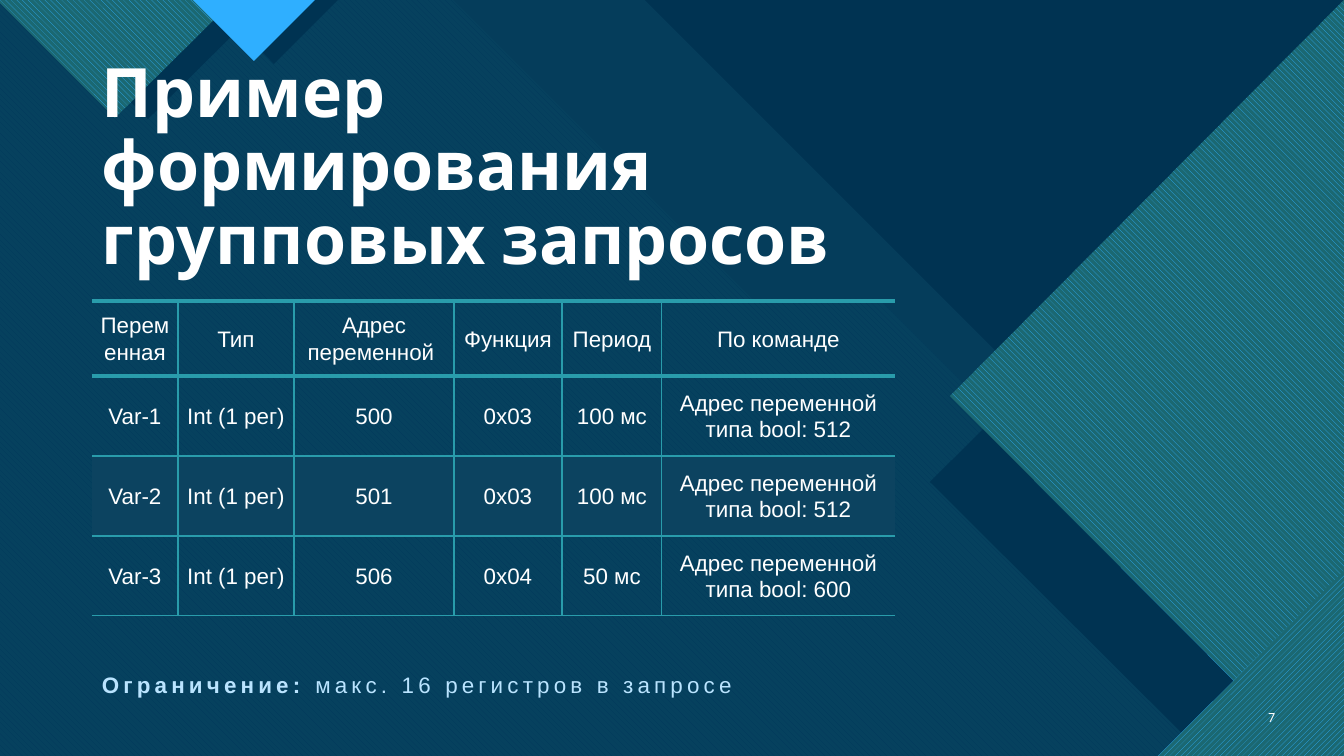
from lxml.etree import SubElement
from pptx import Presentation
from pptx.dml.color import RGBColor
from pptx.enum.dml import MSO_PATTERN as Pattern
from pptx.enum.text import MSO_ANCHOR as Anchor, PP_ALIGN as Align
from pptx.oxml import parse_xml
from pptx.oxml.ns import nsdecls, qn
from pptx.util import Pt

PX = 914400 / 100.8
WIDTH, HEIGHT = 1344, 756
NAVY, TEAL, AQUA = "003352", "299CAB", "47C3D3"
SKY, PINE, STEEL, WHITE = "2FAFFF", "1B6872", "0C4360", "FFFFFF"


def color(value):
    return RGBColor.from_string(value)


def emu(*lengths):
    """Turn px lengths into EMU."""
    return [round(length * PX) for length in lengths]


deck = Presentation()
deck.slide_width, deck.slide_height = emu(WIDTH, HEIGHT)
page = deck.slides.add_slide(deck.slide_layouts[6])
page.background.fill.solid()
page.background.fill.fore_color.rgb = color(WHITE)

# Background, back to front: corners, front colour, pattern, pattern back colour, opacity %
layers = [
    ([(0, 0), (WIDTH, 0), (WIDTH, HEIGHT), (0, HEIGHT)], STEEL, None, None, 100),
    ([(0, 0), (833, 0), (1132, 299), (1245, 299), (WIDTH, 399), (WIDTH, HEIGHT), (0, HEIGHT)],
     AQUA, None, None, 74),
    ([(0, 0), (453, 0), (752, 299), (879, 299), (1336, HEIGHT), (0, HEIGHT)],
     "0065A4", Pattern.WIDE_DOWNWARD_DIAGONAL, AQUA, 100),
    ([(645, 0), (WIDTH, 0), (WIDTH, 699)], NAVY, None, None, 100),
    ([(0, 0), (701, 0), (1000, 299), (1127, 299), (WIDTH, 517), (WIDTH, HEIGHT), (0, HEIGHT)],
     NAVY, None, None, 90),
    ([(WIDTH, 69), (WIDTH, HEIGHT), (1205, HEIGHT), (930, 482)], NAVY, None, None, 100),
    ([(WIDTH, 0), (WIDTH, HEIGHT), (1309, HEIGHT), (950, 396)],
     SKY, Pattern.WIDE_DOWNWARD_DIAGONAL, PINE, 100),
    ([(WIDTH, 619), (WIDTH, HEIGHT), (1207, HEIGHT)], NAVY, None, None, 100),
    ([(WIDTH, 571), (WIDTH, HEIGHT), (1158, HEIGHT)],
     SKY, Pattern.WIDE_UPWARD_DIAGONAL, PINE, 100),
    ([(268, 0), (148, 119), (29, 0)], NAVY, None, None, 100),
    ([(0, 0), (234, 0), (115, 118), (0, 3)],
     SKY, Pattern.WIDE_DOWNWARD_DIAGONAL, PINE, 100),
    ([(338, 0), (274, 64), (211, 0)], NAVY, None, None, 100),
    ([(193, 0), (254, 61), (315, 0)], SKY, None, None, 100),
]
for corners, front, pattern, back, opacity in layers:
    outline = page.shapes.build_freeform(*corners[0], scale=PX)
    outline.add_line_segments(corners[1:], close=True)
    layer = outline.convert_to_shape()
    layer.shadow.inherit = False
    layer.line.fill.background()
    if pattern:
        layer.fill.patterned()
        layer.fill.pattern = pattern
        layer.fill.back_color.rgb = color(back)
    else:
        layer.fill.solid()
    layer.fill.fore_color.rgb = color(front)
    if opacity < 100:
        tint = layer.fill._xPr.find(".//" + qn("a:srgbClr"))
        SubElement(tint, qn("a:alpha"), val=str(opacity * 1000))

# Texts: place, anchor, alignment, line spacing, font, size, colour, letter spacing, runs
texts = [
    ((92, 136, 858, 148), Anchor.BOTTOM, Align.LEFT, 0.9, "Cabin", 48.6, WHITE, 0,
     [("Пример формирования групповых запросов", True)]),
    ((92, 669, 750, 40), Anchor.TOP, Align.LEFT, 0.9, "Arial", 16, "BAE4FF", 3,
     [("Ограничение:", True), (" макс. 16 регистров в запросе", False)]),
    ((1241, 697, 44, 40), Anchor.MIDDLE, Align.RIGHT, 1, "Calibri", 10, WHITE, 0,
     [("7", False)]),
]
for place, anchor, align, spacing, font, size, ink, tracking, spans in texts:
    box = page.shapes.add_textbox(*emu(*place))
    frame = box.text_frame
    frame.word_wrap = True
    frame.vertical_anchor = anchor
    para = frame.paragraphs[0]
    para.alignment, para.line_spacing = align, spacing
    para.font.name, para.font.size = font, Pt(size)
    para.font.color.rgb = color(ink)
    for words, bold in spans:
        span = para.add_run()
        span.text, span.font.bold = words, bold
        if tracking:
            span.font._element.set("spc", str(tracking * 100))

rows = [
    ["Переменная", "Тип", "Адрес\nпеременной ", "Функция", "Период", "По команде"],
    ["Var-1", "Int (1 рег)", "500", "0х03", "100 мс", "Адрес переменной\nтипа bool: 512"],
    ["Var-2", "Int (1 рег)", "501", "0х03", "100 мс", "Адрес переменной\nтипа bool: 512"],
    ["Var-3", "Int (1 рег)", "506", "0х04", "50 мс", "Адрес переменной\nтипа bool: 600"],
]
widths = [86, 116, 160, 108, 100, 233]
heights = [75, 80, 80, 80]
table = page.shapes.add_table(len(rows), len(widths),
                              *emu(92, 301, sum(widths), sum(heights))).table
table.first_row = table.horz_banding = False
for column, width in zip(table.columns, emu(*widths)):
    column.width = width
for row, height in zip(table.rows, emu(*heights)):
    row.height = height

for r, values in enumerate(rows):
    for c, value in enumerate(values):
        cell = table.cell(r, c)
        cell.text = value
        cell.vertical_anchor = Anchor.MIDDLE
        cell.margin_left, cell.margin_right, cell.margin_top, cell.margin_bottom = emu(4, 4, 4, 4)
        if r == 2:
            cell.fill.solid()
            cell.fill.fore_color.rgb = color(STEEL)
        else:
            cell.fill.background()
        for para in cell.text_frame.paragraphs:
            para.alignment, para.line_spacing = Align.CENTER, 1.07
            para.font.name, para.font.size = "Arial", Pt(16)
            para.font.color.rgb = color(WHITE)
        # Border widths in points; the outer left and right edges stay open
        borders = {"L": int(c > 0), "R": int(c < len(widths) - 1),
                   "T": 3 if r < 2 else 1, "B": 3 if r == 0 else 1}
        properties = cell._tc.get_or_add_tcPr()
        for order, (side, points) in enumerate(borders.items()):
            paint = (f'<a:solidFill><a:srgbClr val="{TEAL}"/></a:solidFill>'
                     if points else "<a:noFill/>")
            properties.insert(order, parse_xml(
                f'<a:ln{side} {nsdecls("a")} w="{Pt(points)}">{paint}</a:ln{side}>'))

deck.save("out.pptx")
